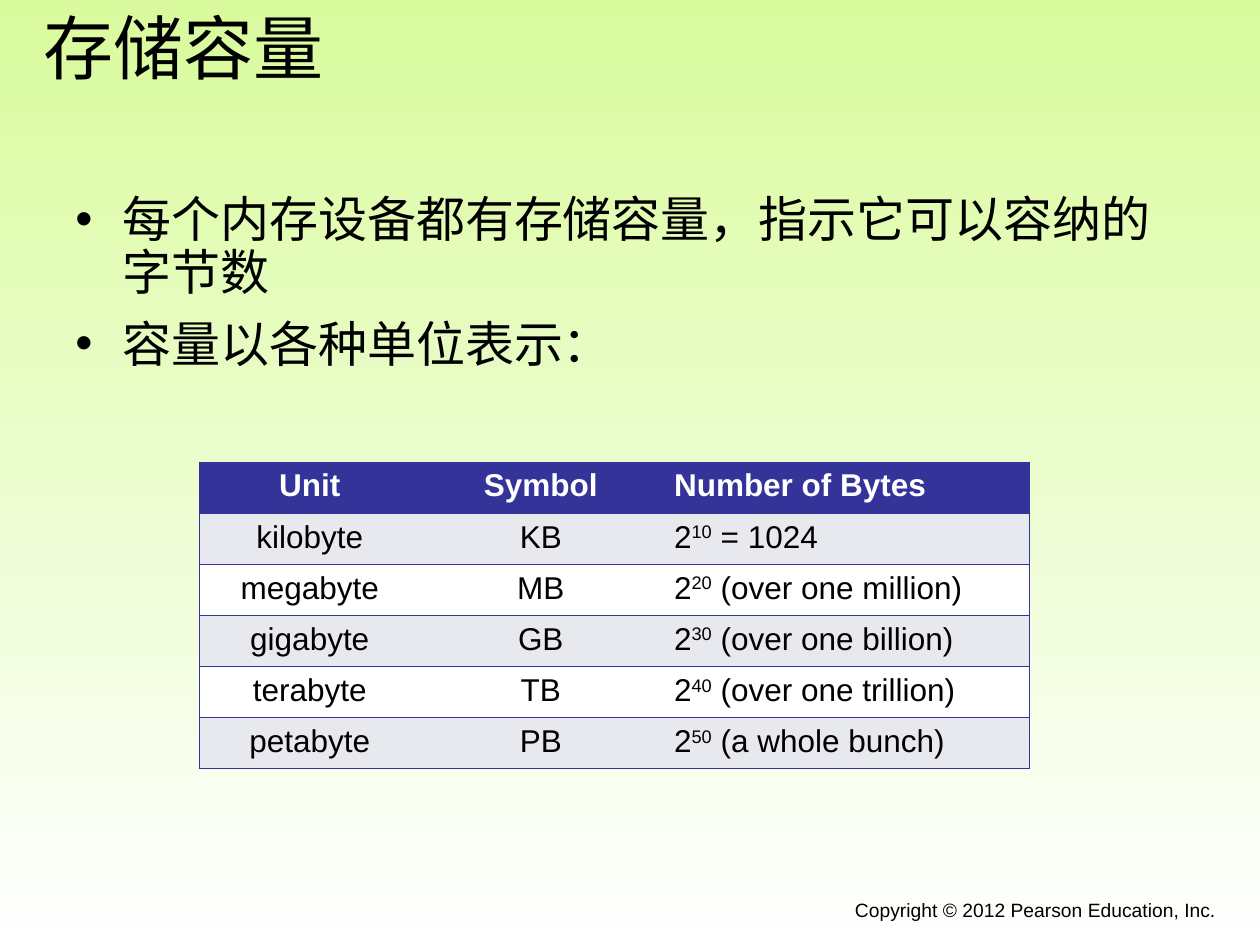
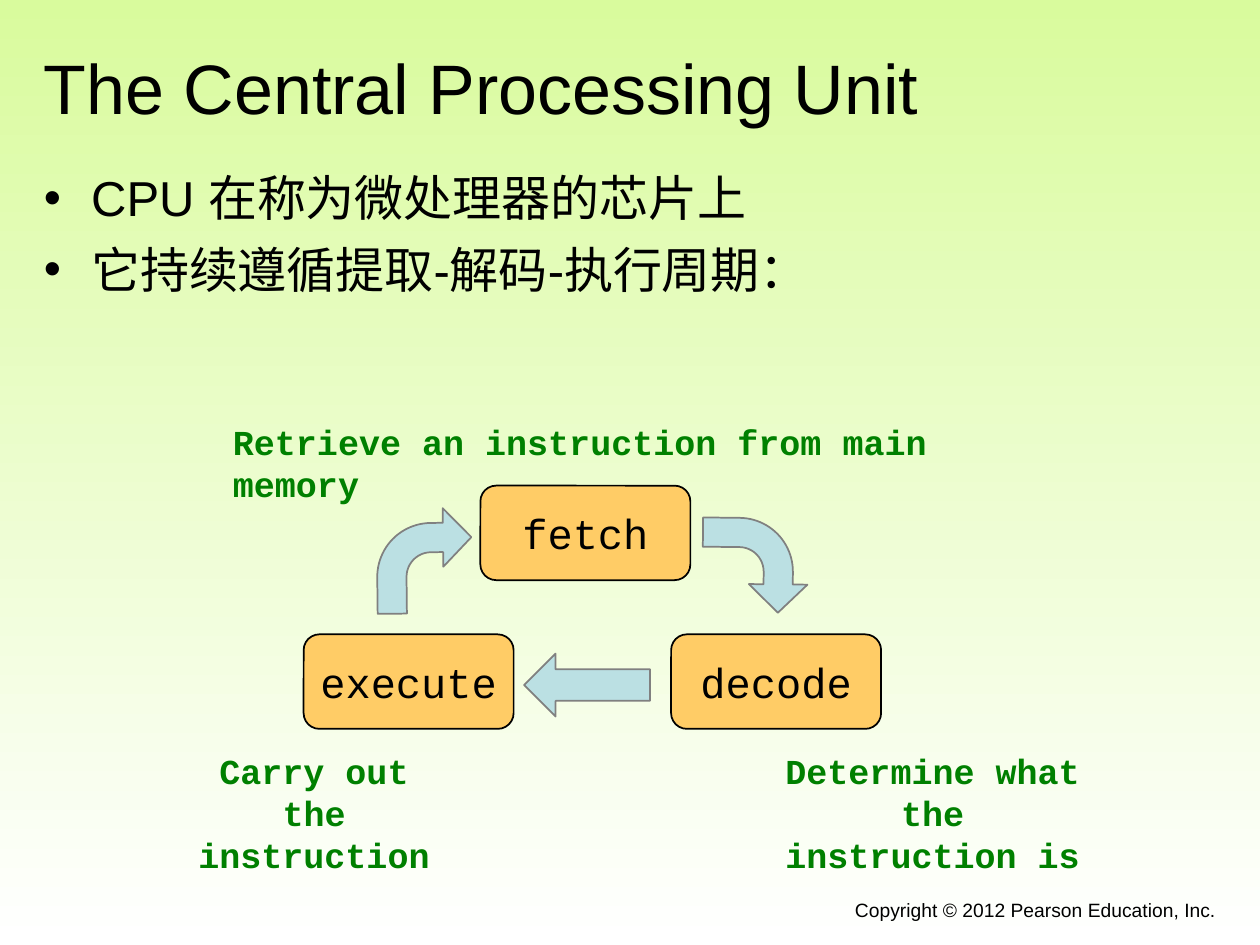
from lxml.etree import SubElement
from pptx import Presentation
from pptx.dml.color import RGBColor
from pptx.enum.shapes import MSO_SHAPE
from pptx.enum.text import MSO_ANCHOR, PP_ALIGN
from pptx.oxml.ns import qn
from pptx.util import Pt

WIDTH, HEIGHT = 720, 540
BLACK, WHITE, LIME = "000000", "FFFFFF", "D9FB9D"
NAVY, MIST = "333399", "E8E8EF"
AMBER, AQUA, GRAY, GREEN = "FFCC66", "BBE0E3", "808080", "008000"
SANS, MONO = "Arial", "Courier New"
LEFT, CENTER, RIGHT = PP_ALIGN.LEFT, PP_ALIGN.CENTER, PP_ALIGN.RIGHT
INDENT = 27


def color(code):
    return RGBColor.from_string(code)


def bullet(para):
    props = para._p.get_or_add_pPr()
    props.set("marL", str(Pt(INDENT)))
    props.set("indent", str(-Pt(INDENT)))
    SubElement(props, qn("a:buFont")).set("typeface", SANS)
    SubElement(props, qn("a:buChar")).set("char", "•")


def write(frame, text, size=18, font=SANS, ink=BLACK, bold=False, align=LEFT,
          anchor=MSO_ANCHOR.TOP, dots=False, gap=0, wrap=True):
    """Write one paragraph per line; text between ^ marks is superscript."""
    frame.word_wrap = wrap
    frame.vertical_anchor = anchor
    for num, line in enumerate(text.split("\n")):
        para = frame.add_paragraph() if num else frame.paragraphs[0]
        para.alignment = align
        if dots:
            bullet(para)
        if num and gap:
            para.space_before = Pt(gap)
        for part, words in enumerate(line.split("^")):
            run = para.add_run()
            run.text = words
            run.font.size, run.font.name = Pt(size), font
            run.font.bold = bold
            run.font.color.rgb = color(ink)
            if part % 2:
                run._r.get_or_add_rPr().set("baseline", "30000")


def label(slide, box, text, **style):
    frame = slide.shapes.add_textbox(*map(Pt, box)).text_frame
    write(frame, text, **style)
    return frame


def block(slide, kind, box, fill, line, adjust=(), turn=0):
    shape = slide.shapes.add_shape(kind, *map(Pt, box))
    shape.shadow.inherit = False
    shape.fill.solid()
    shape.fill.fore_color.rgb = color(fill)
    shape.line.color.rgb = color(line)
    shape.line.width = Pt(1)
    shape.rotation = turn
    for num, value in enumerate(adjust):
        shape.adjustments[num] = value
    return shape


# Shared background, title and footer
def page(deck, title):
    slide = deck.slides.add_slide(deck.slide_layouts[6])
    fill = slide.background.fill
    fill.gradient()
    fill.gradient_angle = 270
    for stop, code in zip(fill.gradient_stops, (LIME, WHITE)):
        stop.color.rgb = color(code)
    head = label(slide, (18, 21.6, 684, 56.16), title, size=40,
                 anchor=MSO_ANCHOR.MIDDLE)
    label(slide, (264, 510, 438, 24.5), "Copyright © 2012 Pearson Education, Inc.",
          size=11, align=RIGHT)
    return slide, head


def points(slide, box, text):
    frame = label(slide, box, text, size=28, dots=True, gap=7)
    frame.paragraphs[0].line_spacing = 0.9


def border(cell, sides):
    props = cell._tc.get_or_add_tcPr()
    for side in "LRTB":
        line = SubElement(props, qn(f"a:ln{side}"))
        if side in sides:
            line.set("w", str(Pt(0.45)))
            fill = SubElement(line, qn("a:solidFill"))
            SubElement(fill, qn("a:srgbClr")).set("val", NAVY)
        else:
            line.set("w", "0")
            SubElement(line, qn("a:noFill"))


# Table of units, header row first
def units(slide, box, rows, wide):
    table = slide.shapes.add_table(len(rows), len(wide), *map(Pt, box)).table
    for col, width in zip(table.columns, wide):
        col.width = Pt(width)
    for r, row in enumerate(rows):
        table.rows[r].height = Pt(box[3] / len(rows))
        for c, text in enumerate(row):
            cell = table.cell(r, c)
            border(cell, ("LTB", "TB", "RTB")[c])
            cell.fill.solid()
            cell.fill.fore_color.rgb = color(
                NAVY if r == 0 else MIST if r % 2 else WHITE)
            write(cell.text_frame, text, bold=r == 0,
                  ink=BLACK if r else WHITE, align=LEFT if c == 2 else CENTER)


# Fetch, decode and execute loop with its notes
def cycle(slide, box):
    left, top = box[:2]

    def spot(x, y, w, h):
        return left + x, top + y, w, h

    note = dict(size=20, font=MONO, ink=GREEN, bold=True)
    bent = (0.31, 0.31, 0.3, 0.57)
    for x, y, turn in ((109.5, 53.5, 359.4), (298.5, 56, 90.6)):
        block(slide, MSO_SHAPE.BENT_ARROW, spot(x, y, 54, 60), AQUA, GRAY, bent, turn)
    block(slide, MSO_SHAPE.LEFT_ARROW, spot(193.5, 136.5, 72, 36), AQUA, GRAY)
    for name, x, y in (("fetch", 168.5, 40.5), ("decode", 277.5, 125.5),
                       ("execute", 67.5, 125.5)):
        step = block(slide, MSO_SHAPE.ROUNDED_RECTANGLE, spot(x, y, 120, 54),
                     AMBER, BLACK)
        write(step.text_frame, name, size=24, font=MONO, align=CENTER,
              anchor=MSO_ANCHOR.MIDDLE, wrap=False)
    label(slide, spot(20, 0, 445, 31.5), "Retrieve an instruction from main memory",
          **note)
    for x, wide, text in ((318.5, 217, "Determine what the\ninstruction is"),
                          (0, 147, "Carry out the\ninstruction")):
        label(slide, spot(x, 188, wide, 55.5), text, align=CENTER, **note)


def storage(deck):
    slide, head = page(deck, "存储容量")
    head.margin_bottom = Pt(49.5)  # raises the title
    points(slide, (36, 108, 654, 130),
           "每个内存设备都有存储容量，指示它可以容纳的字节数\n容量以各种单位表示：")
    rows = [("Unit", "Symbol", "Number of Bytes"),
            ("kilobyte", "KB", "2^10^ = 1024"),
            ("megabyte", "MB", "2^20^ (over one million)"),
            ("gigabyte", "GB", "2^30^ (over one billion)"),
            ("terabyte", "TB", "2^40^ (over one trillion)"),
            ("petabyte", "PB", "2^50^ (a whole bunch)")]
    units(slide, (114, 264, 474, 175.5), rows, (126, 138, 210))


def processor(deck):
    slide, _ = page(deck, "The Central Processing Unit")
    points(slide, (18, 96, 672, 132),
           "CPU 在称为微处理器的芯片上\n它持续遵循提取-解码-执行周期：")
    cycle(slide, (106, 237, 536, 244))


def main():
    deck = Presentation()
    deck.slide_width, deck.slide_height = Pt(WIDTH), Pt(HEIGHT)
    storage(deck)
    processor(deck)
    deck.save("out.pptx")


if __name__ == "__main__":
    main()
